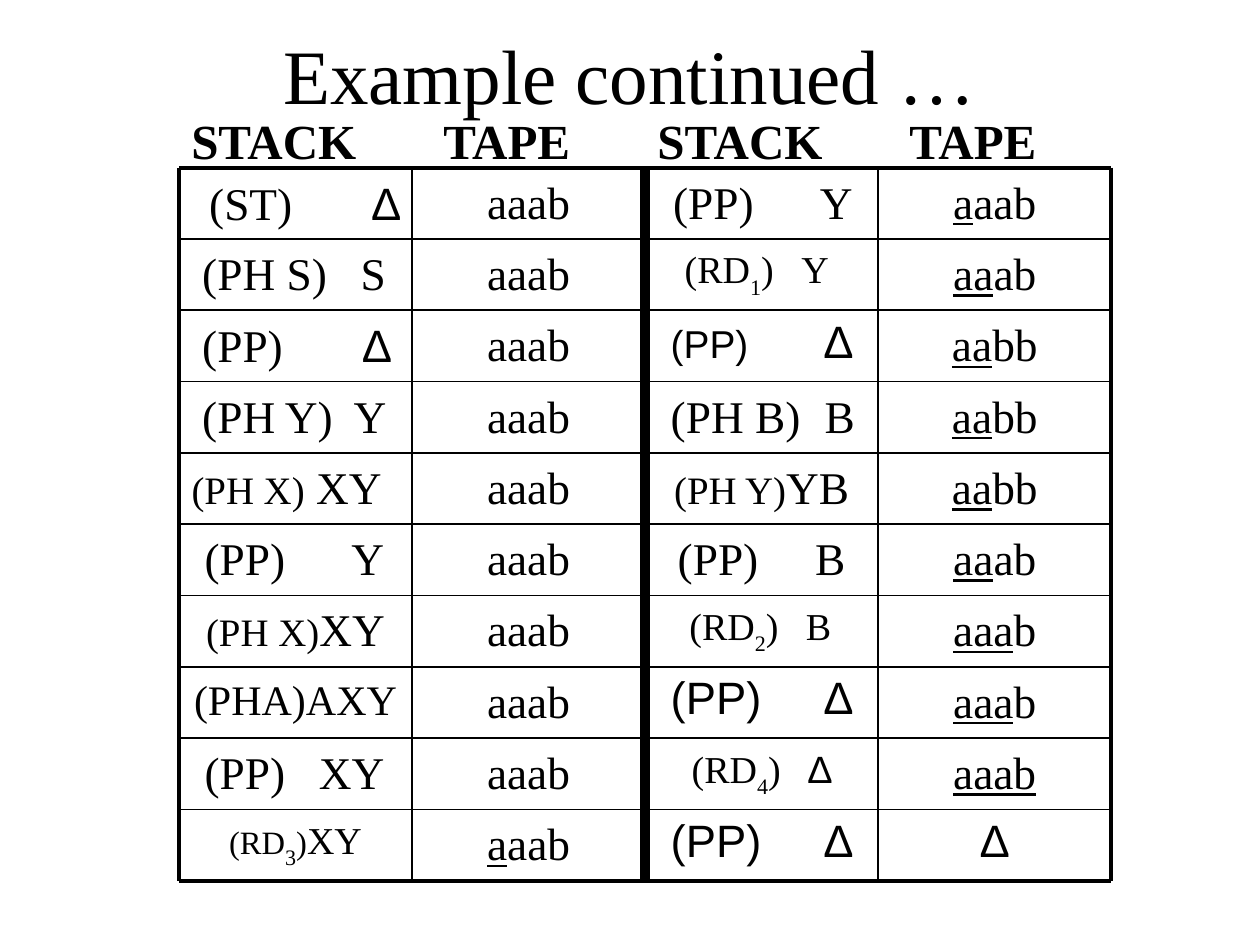
"""Build the stack and tape trace slide of a pushdown automaton."""
from dataclasses import dataclass
from typing import NamedTuple

from lxml import etree
from pptx import Presentation
from pptx.dml.color import RGBColor
from pptx.enum.shapes import MSO_CONNECTOR
from pptx.enum.text import MSO_ANCHOR, PP_ALIGN
from pptx.oxml.ns import qn
from pptx.util import Inches, Pt

LEFT, CENTER = PP_ALIGN.LEFT, PP_ALIGN.CENTER
MIDDLE = MSO_ANCHOR.MIDDLE
STRAIGHT = MSO_CONNECTOR.STRAIGHT
BLACK = RGBColor(0x00, 0x00, 0x00)
TIMES, ARIAL = "Times New Roman", "Arial"
BODY, MEDIUM, READ, SMALL = 25.9, 22.2, 21.7, 18.6
GRID_X, GRID_Y = Inches(1.42), Inches(1.33)
COL, ROW = Inches(1.85), Inches(0.566)
COL_RULES = (2.25, 1, 5.25, 1, 2.25)
ROW_RULES = (2.25, *[1] * 9, 2.25)
COLS, ROWS = len(COL_RULES) - 1, len(ROW_RULES) - 1


class Run(NamedTuple):
    text: str
    size: float = BODY
    font: str = TIMES
    bold: bool = False
    underline: bool = False
    sub: bool = False


@dataclass
class Entry:
    """Cell text; indent and tab are shares of the column width."""
    runs: list[Run]
    indent: float | None = None
    tab: float | None = None
    align: PP_ALIGN = CENTER
    spacing: float | None = None


def tape(word: str, done: int = 0) -> Entry:
    """Tape content with its first letters underlined as read."""
    parts = (Run(word[:done], underline=True), Run(word[done:]))
    return Entry([part for part in parts if part.text])


def step(op: str, stack: str, indent: float, tab: float, font: str = TIMES,
         size: float = BODY, spacing: float | None = None) -> Entry:
    """Operation followed by the stack content at a tab stop."""
    stack_font = ARIAL if stack == "∆" else TIMES
    runs = [Run(op + "\t", size, font), Run(stack, BODY, stack_font)]
    return Entry(runs, indent, tab, LEFT, spacing)


def read(state: str, stack: str, indent: float) -> Entry:
    """Read operation with a subscript number."""
    stack_font = ARIAL if stack == "∆" else TIMES
    runs = [Run("(RD", READ), Run(state, READ, sub=True), Run(")\t", READ),
            Run(stack, READ, stack_font)]
    return Entry(runs, indent, 0.5, LEFT)


def push(op: str, stack: str, align: PP_ALIGN = CENTER) -> Entry:
    """Push operation with the stack content close behind it."""
    return Entry([Run(op, MEDIUM), Run(stack)], align=align)


def pop_delta(size: float = BODY, indent: float = 0.11) -> Entry:
    """Pop operation that leaves the stack empty."""
    return step("(PP)", "∆", indent, 0.66, ARIAL, size, 0.9)


READ_3 = Entry([Run("(RD", SMALL), Run("3", READ, sub=True), Run(")", SMALL), Run("XY", READ)])
TRACE = [
    (step("(ST)", "∆", 0.13, 0.70), tape("aaab"), step("(PP)", "Y", 0.12, 0.63), tape("aaab", 1)),
    (step("(PH S)", "S", 0.1, 0.68), tape("aaab"), read("1", "Y", 0.17), tape("aaab", 2)),
    (step("(PP)", "∆", 0.1, 0.69), tape("aaab"), pop_delta(MEDIUM), tape("aabb", 2)),
    (step("(PH Y)", "Y", 0.1, 0.65), tape("aaab"), step("(PH B)", "B", 0.11, 0.66), tape("aabb", 2)),
    (push("(PH X)", " XY", LEFT), tape("aaab"), push("(PH Y)", "YB"), tape("aabb", 2)),
    (step("(PP)", "Y", 0.11, 0.63), tape("aaab"), step("(PP)", "B", 0.14, 0.59), tape("aaab", 2)),
    (push("(PH X)", "XY"), tape("aaab"), read("2", "B", 0.19), tape("aaab", 3)),
    (Entry([Run("(PHA)AXY", 24)]), tape("aaab"), pop_delta(), tape("aaab", 3)),
    (step("(PP)", "XY", 0.11, 0.49), tape("aaab"), read("4", "∆", 0.2), tape("aaab", 4)),
    (READ_3, tape("aaab", 1), pop_delta(), Entry([Run("∆", BODY, ARIAL)], spacing=0.9)),
]


def add_runs(p, runs: list[Run]) -> None:
    """Append formatted runs to a paragraph."""
    for run in runs:
        r = p.add_run()
        r.text = run.text
        r.font.size, r.font.name = Pt(run.size), run.font
        r.font.bold, r.font.underline = run.bold, run.underline
        r.font.color.rgb = BLACK
        if run.sub:
            r._r.get_or_add_rPr().set("baseline", "-30000")


def add_tab(p, pos: int) -> None:
    """Give a paragraph one left tab stop."""
    tabs = etree.SubElement(p._p.get_or_add_pPr(), qn("a:tabLst"))
    etree.SubElement(tabs, qn("a:tab"), pos=str(int(pos)), algn="l")


def fill_cell(cell, entry: Entry) -> None:
    """Set the text of one cell."""
    cell.fill.background()
    cell.margin_top, cell.margin_bottom = Inches(0.09), 0
    p = cell.text_frame.paragraphs[0]
    p.alignment = entry.align
    if entry.spacing:
        p.line_spacing = entry.spacing
    if entry.tab:
        cell.margin_left, cell.margin_right = int(COL * entry.indent), 0
        add_tab(p, COL * entry.tab)
    add_runs(p, entry.runs)


def add_trace(s) -> None:
    """Add the table of machine steps."""
    frame = s.shapes.add_table(ROWS, COLS, GRID_X, GRID_Y, COL * COLS, ROW * ROWS)
    table = frame.table
    table.first_row = table.horz_banding = False
    for i, entries in enumerate(TRACE):
        table.rows[i].height = ROW
        for j, entry in enumerate(entries):
            fill_cell(table.cell(i, j), entry)


def add_rule(s, col1: int, row1: int, col2: int, row2: int, width: float) -> None:
    """Draw a line between two grid points."""
    line = s.shapes.add_connector(STRAIGHT, GRID_X + col1 * COL, GRID_Y + row1 * ROW,
                                  GRID_X + col2 * COL, GRID_Y + row2 * ROW)
    line.line.color.rgb, line.line.width = BLACK, Pt(width)
    etree.SubElement(line._element.spPr, qn("a:effectLst"))


def add_text(s, x: int, y: int, w: int, h: int, run: Run, align: PP_ALIGN):
    """Add a one-line text box and return its text frame."""
    tf = s.shapes.add_textbox(x, y, w, h).text_frame
    tf.word_wrap = True
    p = tf.paragraphs[0]
    p.alignment = align
    add_runs(p, [run])
    return tf


def main() -> None:
    """Build and save the slide."""
    prs = Presentation()
    prs.slide_width, prs.slide_height = Inches(10), Inches(7.5)
    s = prs.slides.add_slide(prs.slide_layouts[6])
    title = add_text(s, Inches(0.75), Inches(0.17), Inches(8.5), Inches(0.83),
                     Run("Example continued …", 44), CENTER)
    title.vertical_anchor = MIDDLE
    add_trace(s)
    for row, width in enumerate(ROW_RULES):
        add_rule(s, 0, row, COLS, row, width)
    for col, width in enumerate(COL_RULES):
        add_rule(s, col, 0, col, ROWS, width)
    for pair in range(2):
        head = add_text(s, GRID_X + 2 * pair * COL, Inches(0.83), Inches(3.8), ROW,
                        Run("STACK\tTAPE", 28, bold=True), LEFT)
        add_tab(head.paragraphs[0], Inches(2))
    prs.save("out.pptx")


if __name__ == "__main__":
    main()
